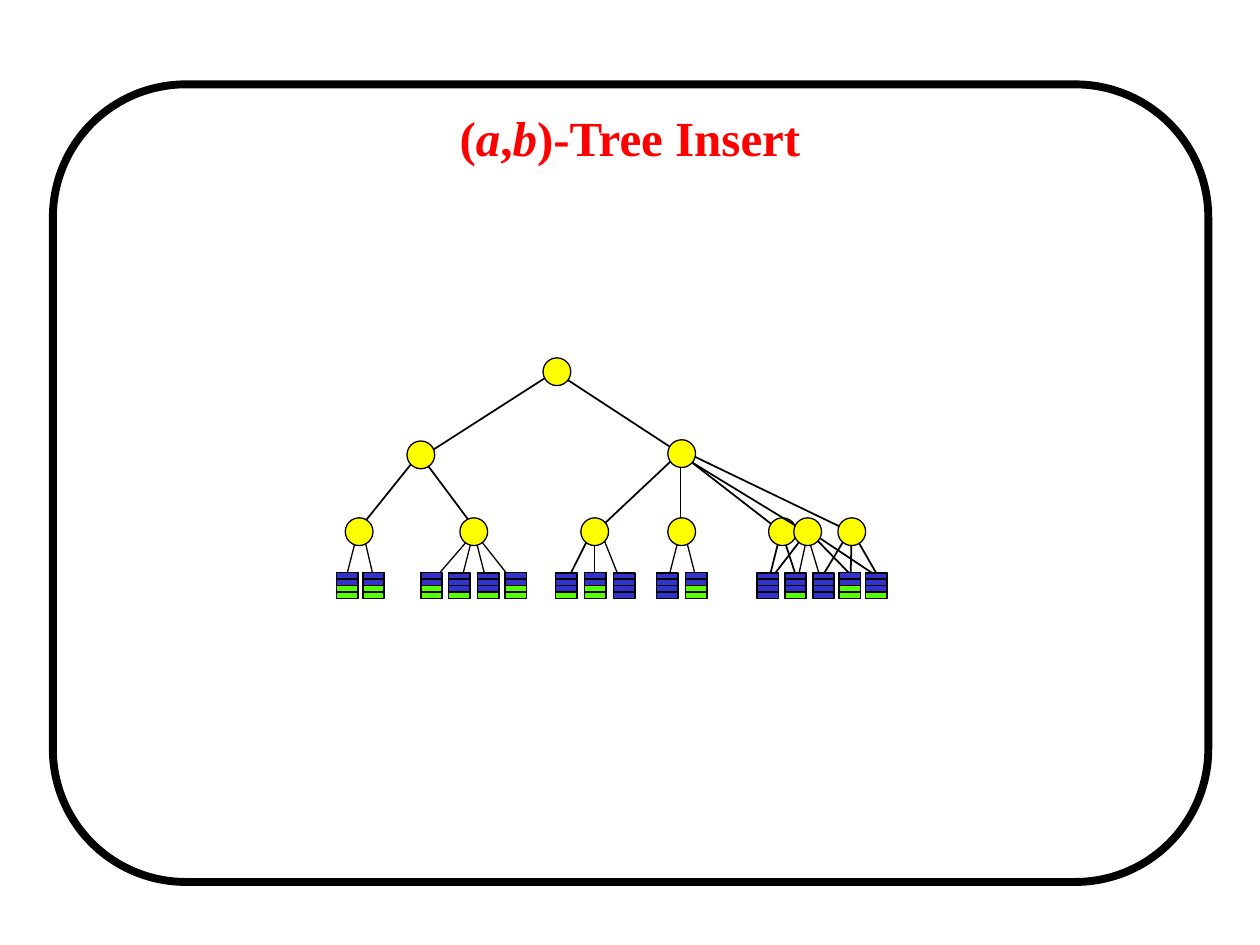
import pptx
import pptx.util
import pptx.dml.color
import pptx.enum.shapes
import pptx.enum.text
from lxml import etree

RGB = pptx.dml.color.RGBColor
SHAPE = pptx.enum.shapes.MSO_SHAPE
LINE = pptx.enum.shapes.MSO_CONNECTOR.STRAIGHT
Inches, Pt = pptx.util.Inches, pptx.util.Pt

BLACK = RGB(0x00, 0x00, 0x00)
RED = RGB(0xFF, 0x00, 0x00)
YELLOW = RGB(0xFF, 0xFF, 0x00)
GREEN = RGB(0x57, 0xFF, 0x03)
BLUE = RGB(0x33, 0x33, 0xCC)

# Boxes in inches: left, top, width, height
FRAME = (0.42, 0.67, 9.17, 6.33)
TITLE = (0.75, 0.75, 8.5, 0.67)
TREE = (2.67, 2.84, 4.36, 1.92)

# The tree box is a grid of 436 columns by 192 rows
COLS, ROWS = 436, 192
NODE = 22
LEAF_W, LEAF_H, LEAF_TOP, SLOTS = 17, 20.5, 170.5, 4

# Nodes by centre: the crowded one is crossed by two later edges
CROWDED = (354, 138)
NODES = [(175, 11), (67, 77), (274, 76), (18, 138), (109, 138),
         (205, 138), (274, 138), (374, 138), (409, 138)]

# Edges: column and row of the start, then of the end
INNER = [(69, 78, 175, 10), (276, 78, 172, 10),
         (66, 76, 17, 137), (67, 78, 111, 137),
         (274, 74, 207, 137), (273, 74, 273, 137),
         (273, 76, 353, 138), (273, 73, 408, 138),
         (353, 137, 343, 177), (353, 137, 366, 177),
         (409, 137, 408, 177), (409, 137, 432, 177),
         (407, 138, 384, 176), (203, 137, 182, 179),
         (374, 137, 409, 173), (373, 136, 430, 174)]
OUTER = [(17, 138, 6, 181), (21, 138, 31, 181),
         (111, 137, 73, 181), (109, 138, 98, 181),
         (109, 138, 120, 181), (109, 138, 143, 181),
         (205, 138, 205, 181), (211, 141, 227, 181),
         (273, 138, 262, 181), (276, 138, 287, 181),
         (374, 140, 365, 181), (373, 138, 386, 181)]
LATE = [(274, 78, 374, 139), (372, 140, 342, 179)]

# Leaves: left column and number of filled slots
LEAVES = [(0, 2), (21, 2), (67, 2), (89, 3), (112, 3), (134, 2),
          (174, 3), (197, 2), (220, 4), (254, 4), (277, 2),
          (334, 4), (356, 3), (378, 4), (399, 2), (420, 3)]


def style(obj, form):
    for key, val in form.items():
        setattr(obj, key, val)


def shape(shapes, kind, box, fill, width):
    item = shapes.add_shape(kind, *map(Inches, box))
    item.shadow.inherit = False
    if fill is None:
        item.fill.background()
    else:
        item.fill.solid()
        item.fill.fore_color.rgb = fill
    item.line.color.rgb = BLACK
    item.line.width = Pt(width)
    return item


def line(shapes, ends, width):
    item = shapes.add_connector(LINE, *map(Inches, ends))
    item.line.color.rgb = BLACK
    item.line.width = Pt(width)
    props = item._element.spPr
    etree.SubElement(props, pptx.oxml.ns.qn("a:effectLst"))


def title(slide, box):
    head = slide.shapes.title
    style(head, dict(zip(("left", "top", "width", "height"),
                         map(Inches, box))))
    frame = head.text_frame
    style(frame, {"vertical_anchor": pptx.enum.text.MSO_ANCHOR.MIDDLE,
                  "auto_size": pptx.enum.text.MSO_AUTO_SIZE.NONE,
                  "word_wrap": True})
    para = frame.paragraphs[0]
    para.alignment = pptx.enum.text.PP_ALIGN.CENTER
    for text in ("(", "a", ",", "b", ")-Tree Insert"):
        run = para.add_run()
        run.text = text
        style(run.font, {"name": "Times New Roman", "size": Pt(28),
                         "bold": True, "italic": text in ("a", "b")})
        run.font.color.rgb = RED


def leaf(shapes, box, full):
    x, y, w, h = box
    group = shapes.add_group_shape().shapes
    step = h / SLOTS
    if full < SLOTS:
        shape(group, SHAPE.RECTANGLE, box, GREEN, 1)
    shape(group, SHAPE.RECTANGLE, (x, y, w, step * full), BLUE, 1)
    for row in range(1, SLOTS):
        line(group, (x, y + row * step, x + w, y + row * step), 1)


def tree(slide, box):
    left, top, wide, high = box
    col, row = wide / COLS, high / ROWS
    shapes = slide.shapes

    def edges(items, width):
        for x1, y1, x2, y2 in items:
            line(shapes, (left + x1 * col, top + y1 * row,
                          left + x2 * col, top + y2 * row), width)

    def node(x, y):
        shape(shapes, SHAPE.OVAL,
              (left + (x - NODE / 2) * col, top + (y - NODE / 2) * row,
               NODE * col, NODE * row), YELLOW, 0.75)

    # Edges lie under the nodes
    edges(INNER, 1)
    edges(OUTER, 0.75)
    node(*CROWDED)
    edges(LATE, 1)
    for spot in NODES:
        node(*spot)
    # Leaves
    for x, full in LEAVES:
        leaf(shapes, (left + x * col, top + LEAF_TOP * row,
                      LEAF_W * col, LEAF_H * row), full)


def main():
    deck = pptx.Presentation()
    style(deck, {"slide_width": Inches(10), "slide_height": Inches(7.5)})
    slide = deck.slides.add_slide(deck.slide_layouts[5])
    shape(slide.shapes, SHAPE.FLOWCHART_ALTERNATE_PROCESS, FRAME, None, 4.5)
    title(slide, TITLE)
    tree(slide, TREE)
    deck.save("out.pptx")


if __name__ == "__main__":
    main()
